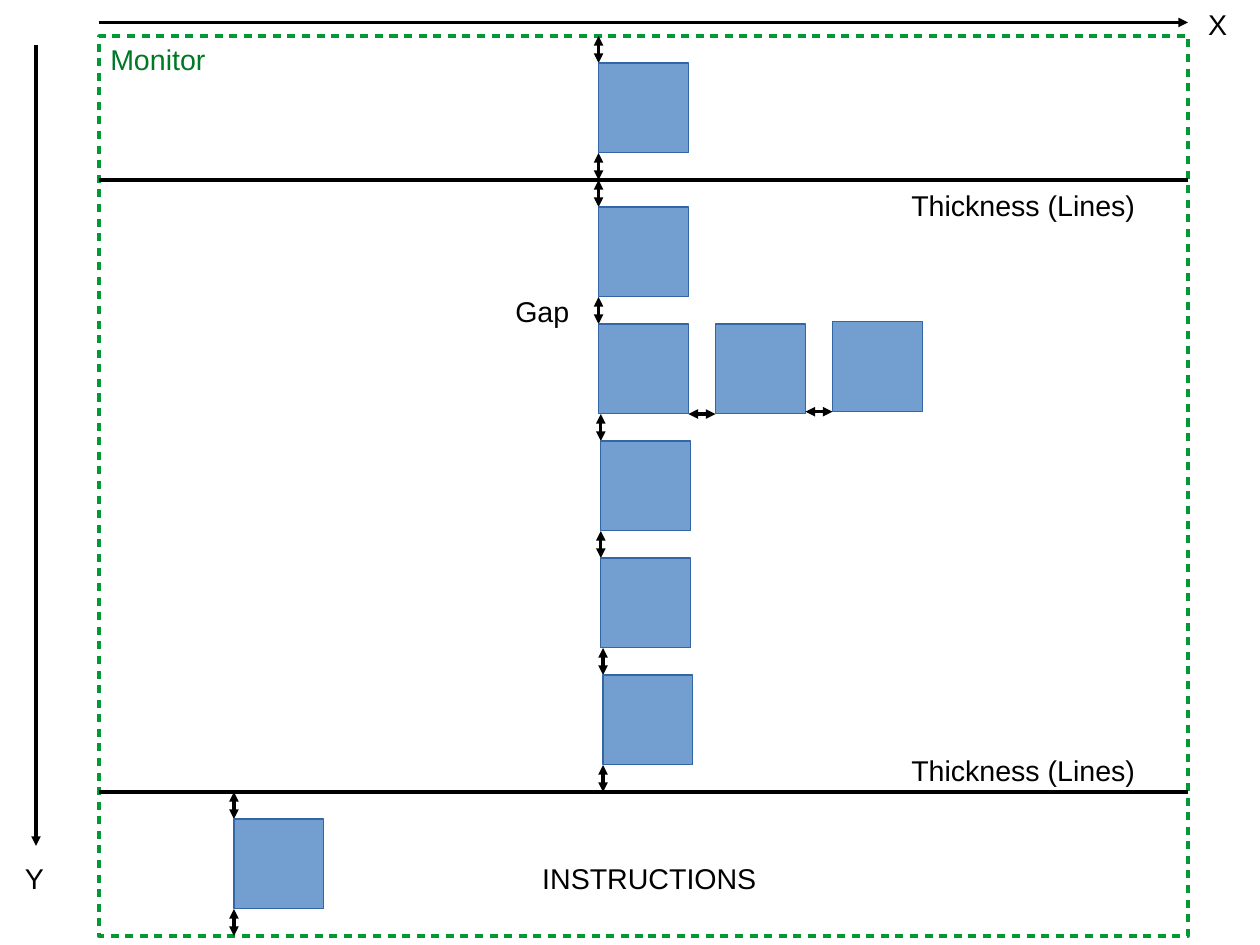
import lxml.etree
import pptx
import pptx.dml.color
import pptx.enum.shapes
import pptx.enum.text
import pptx.oxml.ns
import pptx.util

SQUARE = 56.69
GAP = 17.01
PITCH = SQUARE + GAP
STEP = 1.42
FRAME_LEFT, FRAME_TOP = 62.36, 22.68
FRAME_WIDTH, FRAME_HEIGHT = 685.98, 566.93
FRAME_RIGHT = FRAME_LEFT + FRAME_WIDTH
COLUMN_LEFT = 377.01
INSTRUCTION_LEFT = 147.4
LABEL_HEIGHT = 27.3


def color(value):
    return pptx.dml.color.RGBColor.from_string(value)


def points(*lengths):
    return [pptx.util.Pt(length) for length in lengths]


class Diagram:
    font = {"name": "Arial", "size": pptx.util.Pt(18), "bold": False}
    frame_style = {"margin_left": pptx.util.Pt(7.2), "margin_right": pptx.util.Pt(7.2),
                   "margin_top": pptx.util.Pt(3.6), "margin_bottom": pptx.util.Pt(3.6),
                   "word_wrap": True,
                   "auto_size": pptx.enum.text.MSO_AUTO_SIZE.SHAPE_TO_FIT_TEXT}

    def __init__(self, slide):
        self.slide = slide

    def apply(self, target, style):
        for name, value in style.items():
            setattr(target, name, value)

    def outline(self, shape, line_color, width):
        shape.line.color.rgb = color(line_color)
        shape.line.width = pptx.util.Pt(width)
        return shape.line._get_or_add_ln()

    def add_xml(self, parent, tag, **attributes):
        return lxml.etree.SubElement(parent, pptx.oxml.ns.qn(tag), attributes)

    def rectangle(self, left, top, width, height, fill, line_color, line_width):
        shape = self.slide.shapes.add_shape(
            pptx.enum.shapes.MSO_SHAPE.RECTANGLE, *points(left, top, width, height))
        shape.shadow.inherit = False
        shape.fill.solid()
        shape.fill.fore_color.rgb = color(fill)
        return self.outline(shape, line_color, line_width)

    def monitor(self):
        line = self.rectangle(FRAME_LEFT, FRAME_TOP, FRAME_WIDTH, FRAME_HEIGHT,
                              "FFFFFF", "009933", 2.3)
        dashes = self.add_xml(line, "a:custDash")
        self.add_xml(dashes, "a:ds", d="220000", sp="180000")

    def square(self, left, top):
        self.rectangle(left, top, SQUARE, SQUARE, "729FCF", "3465A4", 0)

    def line(self, start, end, width=0, arrowheads=()):
        connector = self.slide.shapes.add_connector(
            pptx.enum.shapes.MSO_CONNECTOR.STRAIGHT, *points(*start, *end))
        outline = self.outline(connector, "000000", width)
        for tag in arrowheads:
            self.add_xml(outline, tag, type="triangle")
        self.add_xml(connector._element.spPr, "a:effectLst")

    def axis(self, start, end):
        self.line(start, end, arrowheads=["a:tailEnd"])

    def gap(self, start, end):
        self.line(start, end, arrowheads=["a:headEnd", "a:tailEnd"])

    def vertical_gap(self, left, top):
        self.gap((left, top + GAP), (left, top))

    def divider(self, top):
        self.line((FRAME_LEFT, top), (FRAME_RIGHT, top), width=3)

    def band(self, top, lefts):
        for left in lefts:
            self.vertical_gap(left, top)
            self.square(left, top + GAP)
            top += PITCH
        self.vertical_gap(lefts[-1], top)
        return top + GAP

    def side_square(self, left, top):
        bottom = top + SQUARE
        self.gap((left - GAP, bottom), (left, bottom))
        self.square(left, top)

    def label(self, text, left, top, width, text_color="000000"):
        box = self.slide.shapes.add_textbox(*points(left, top, width, LABEL_HEIGHT))
        self.apply(box.text_frame, self.frame_style)
        paragraph = box.text_frame.paragraphs[0]
        run = paragraph.add_run()
        run.text = text
        self.apply(run.font, self.font)
        run.font.color.rgb = color(text_color)


def main():
    presentation = pptx.Presentation()
    presentation.slide_width, presentation.slide_height = points(793.7, 595.28)
    slide = presentation.slides.add_slide(presentation.slide_layouts[6])
    diagram = Diagram(slide)

    diagram.monitor()
    diagram.axis((FRAME_LEFT, 14.17), (FRAME_RIGHT, 14.17))
    diagram.axis((22.68, 28.35), (22.68, 532.91))

    middle_lefts = [COLUMN_LEFT + STEP * steps for steps in (0, 0, 1, 1, 2)]
    upper_line = diagram.band(FRAME_TOP, [COLUMN_LEFT])
    lower_line = diagram.band(upper_line, middle_lefts)
    diagram.band(lower_line, [INSTRUCTION_LEFT])
    for top in (upper_line, lower_line):
        diagram.divider(top)

    row_top = upper_line + PITCH + GAP
    diagram.side_square(COLUMN_LEFT + PITCH, row_top)
    diagram.side_square(COLUMN_LEFT + 2 * PITCH, row_top - STEP)

    diagram.label("Monitor", FRAME_LEFT, FRAME_TOP, 79.4, "007826")
    diagram.label("X", 754.02, 0.7, 22.3)
    diagram.label("Y", 8.5, 538.6, 22.3)
    diagram.label("Gap", 317.5, 181.4, 51.1)
    diagram.label("INSTRUCTIONS", 334.5, 538.6, 153.4)
    for top in (upper_line + STEP, lower_line - LABEL_HEIGHT - STEP / 2):
        diagram.label("Thickness (Lines)", 566.93, top, 181.4)

    presentation.save("out.pptx")


if __name__ == "__main__":
    main()
